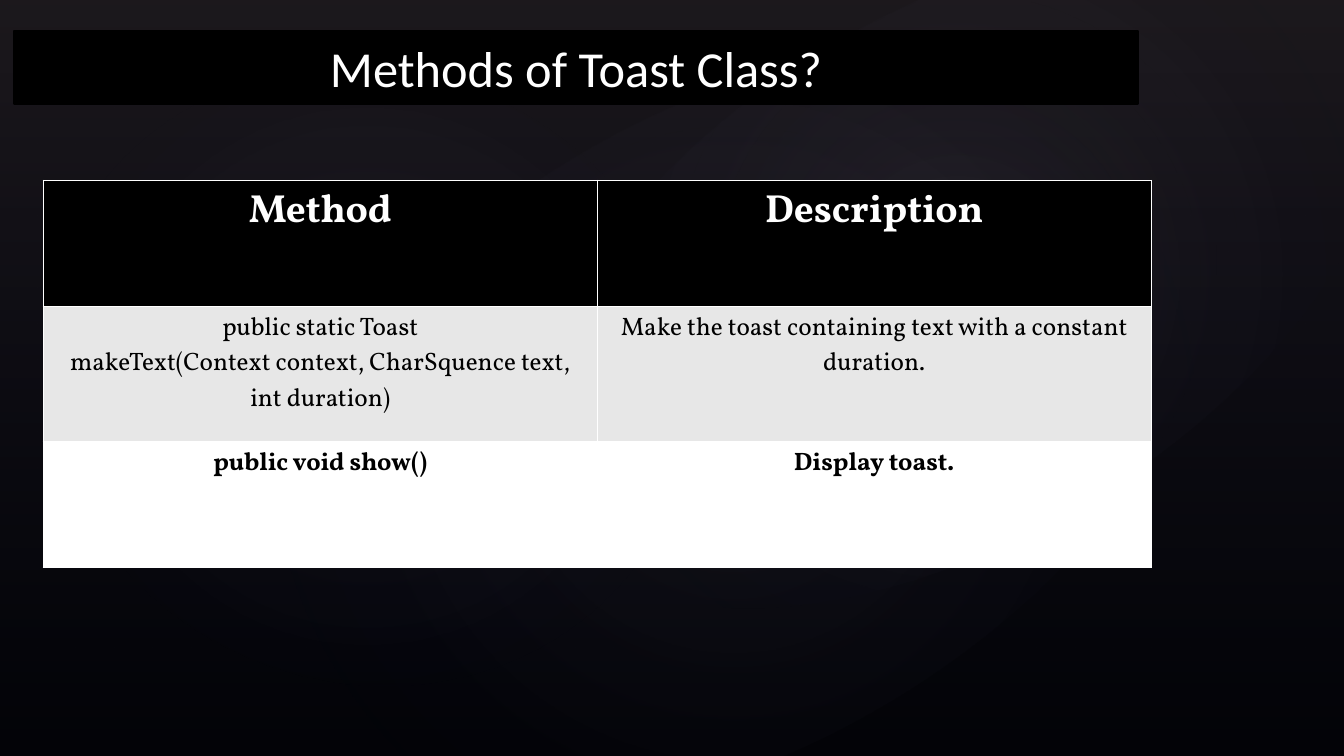
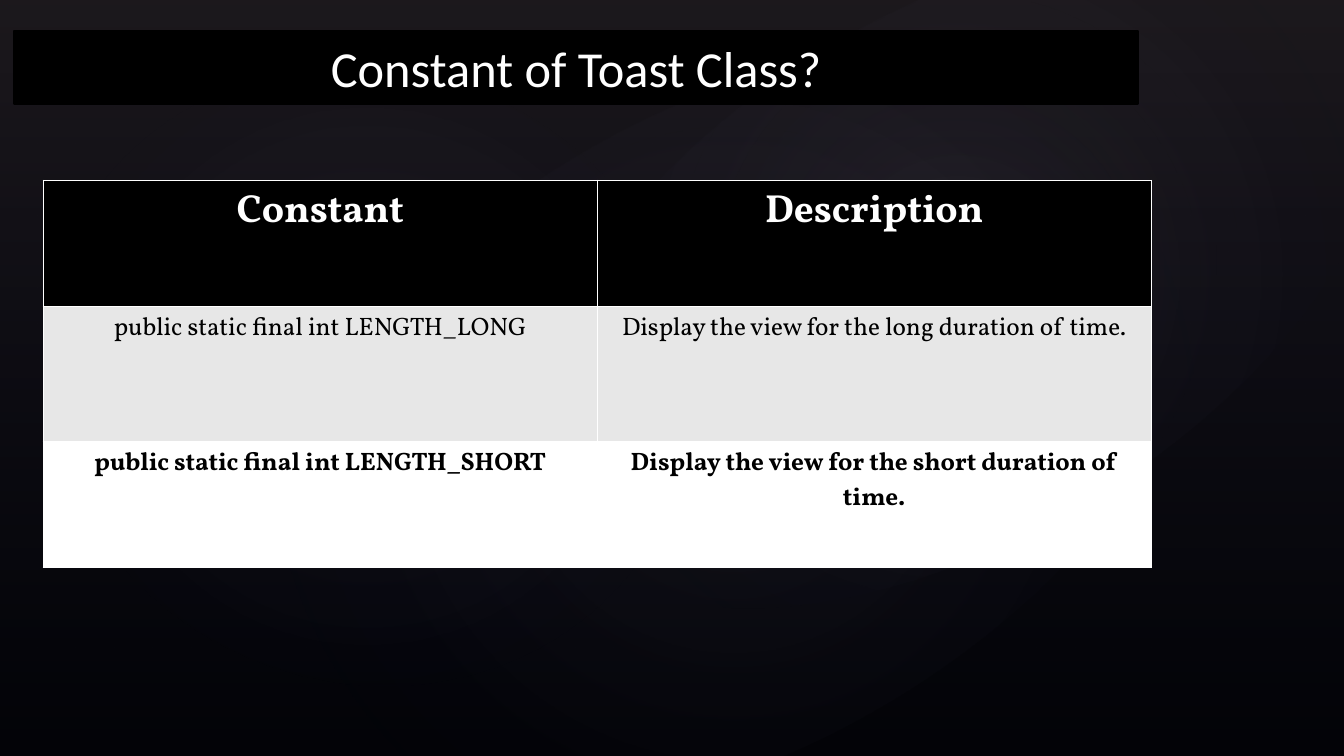
from pptx import Presentation
from pptx.dml.color import RGBColor
from pptx.enum.shapes import MSO_SHAPE
from pptx.enum.text import MSO_ANCHOR, MSO_AUTO_SIZE, PP_ALIGN
from pptx.oxml import parse_xml
from pptx.oxml.ns import nsdecls, qn
from pptx.util import Cm, Pt

COLORS = {
    "black": "000000",
    "white": "FFFFFF",
    "band": "E7E7E7",
    "mauve": "504652",
    "navy": "242852",
    "glow": "C4BCC6",
}
TITLE_FONT, TABLE_FONT = "Calibri", "Vollkorn"
WIDTH, HEIGHT = 33.87, 19.05
LINEAR = '<a:lin ang="5400000" scaled="0"/>'
RADIAL = ('<a:path path="circle"><a:fillToRect l="50000" t="50000" '
          'r="50000" b="50000"/></a:path>')
# Glows: left, top, width, height, rotation, opacity at the centre
GLOWS = [
    (5.08, 2.9, 26.82, 15.85, 328.7, 7),
    (1.55, 1.17, 15.39, 16.59, 294.3, 8),
    (12.14, 0.33, 24, 13.21, 328.7, 8),
]
# Table rows: fill, text colour, size, bold, height
ROW_STYLES = [
    ("black", "white", 28, True, 3.18),
    ("band", "black", 18, False, 3.4),
    ("white", "black", 18, True, 3.18),
]


def rgb(name):
    return RGBColor.from_string(COLORS[name])


class Deck:
    def __init__(self):
        self.prs = Presentation()
        self.prs.slide_width, self.prs.slide_height = Cm(WIDTH), Cm(HEIGHT)
        self.layout = self.prs.slide_layouts[5]
        self.s = None

    def new_slide(self, title):
        first = self.s is None
        self.s = self.prs.slides.add_slide(self.layout)
        if first:
            self.backdrop()
        self.title(title)

    def backdrop(self):
        """Draw the shared background once, on the layout."""
        fill = self.layout.background.fill
        fill.solid()
        fill.fore_color.rgb = rgb("black")
        self.veil(MSO_SHAPE.RECTANGLE, (0, 0, WIDTH, HEIGHT), 0,
                  [(0, "mauve", 36), (100, "navy", 10)], LINEAR)
        for *box, rotation, opacity in GLOWS:
            self.veil(MSO_SHAPE.OVAL, box, rotation,
                      [(0, "glow", opacity), (58, "navy", 0)], RADIAL)

    def veil(self, kind, box, rotation, stops, direction):
        """Add a see-through gradient shape to the layout."""
        sp = self.s.shapes.add_shape(kind, *map(Cm, box))
        sp.rotation = rotation
        sp.shadow.inherit = False
        sp.fill.background()
        gs = "".join(
            f'<a:gs pos="{pos * 1000}"><a:srgbClr val="{COLORS[color]}">'
            f'<a:alpha val="{alpha * 1000}"/></a:srgbClr></a:gs>'
            for pos, color, alpha in stops)
        grad = parse_xml(f'<a:gradFill {nsdecls("a")} rotWithShape="1">'
                         f'<a:gsLst>{gs}</a:gsLst>{direction}</a:gradFill>')
        spPr = sp.element.spPr
        spPr.replace(spPr.find(qn("a:noFill")), grad)
        sp.line.fill.background()
        self.layout.shapes.element.append(sp.element)

    def title(self, text):
        """Turn the title placeholder into a rounded black band."""
        sp = self.s.shapes.title
        sp.left, sp.top, sp.width, sp.height = map(Cm, (0.36, 0.78, 28.32, 1.83))
        sp.element.spPr.append(parse_xml(
            f'<a:prstGeom {nsdecls("a")} prst="roundRect"><a:avLst/></a:prstGeom>'))
        sp.fill.solid()
        sp.fill.fore_color.rgb = rgb("black")
        sp.line.color.rgb = rgb("black")
        sp.line.width = Pt(1.5)
        tf = sp.text_frame
        tf.word_wrap = True
        tf.auto_size = MSO_AUTO_SIZE.NONE
        tf.vertical_anchor = MSO_ANCHOR.MIDDLE
        self.set_text(tf, text, TITLE_FONT, 36, "white", False)

    def table(self, rows):
        cols = len(rows[0])
        height = sum(style[-1] for style in ROW_STYLES)
        table = self.s.shapes.add_table(
            len(rows), cols, Cm(1.09), Cm(4.55), Cm(27.92), Cm(height)).table
        for row, texts, style in zip(table.rows, rows, ROW_STYLES):
            fill, color, size, bold, row_height = style
            row.height = Cm(row_height)
            for cell, text in zip(row.cells, texts):
                cell.fill.solid()
                cell.fill.fore_color.rgb = rgb(fill)
                self.borders(cell)
                self.set_text(cell.text_frame, text, TABLE_FONT, size, color, bold)

    def borders(self, cell):
        tcPr = cell._tc.get_or_add_tcPr()
        for i, side in enumerate("LRTB"):
            tcPr.insert(i, parse_xml(
                f'<a:ln{side} {nsdecls("a")} w="12700"><a:solidFill>'
                f'<a:srgbClr val="{COLORS["white"]}"/></a:solidFill></a:ln{side}>'))

    def set_text(self, tf, text, font, size, color, bold):
        tf.text = text
        for p in tf.paragraphs:
            p.alignment = PP_ALIGN.CENTER
            p.font.name, p.font.size, p.font.bold = font, Pt(size), bold
            p.font.color.rgb = rgb(color)


def main():
    deck = Deck()

    # Methods
    deck.new_slide("Methods of Toast Class?")
    deck.table([
        ("Method", "Description"),
        ("public static Toast\n"
         "makeText(Context context, CharSquence text, int duration)",
         "Make the toast containing text with a constant duration."),
        ("public void show()", "Display toast."),
    ])

    # Constants
    deck.new_slide("Constant of Toast Class?")
    deck.table([
        ("Constant", "Description"),
        ("public static final int LENGTH_LONG",
         "Display the view for the long duration of time."),
        ("public static final int LENGTH_SHORT",
         "Display the view for the short duration of time."),
    ])

    deck.prs.save("out.pptx")


if __name__ == "__main__":
    main()
